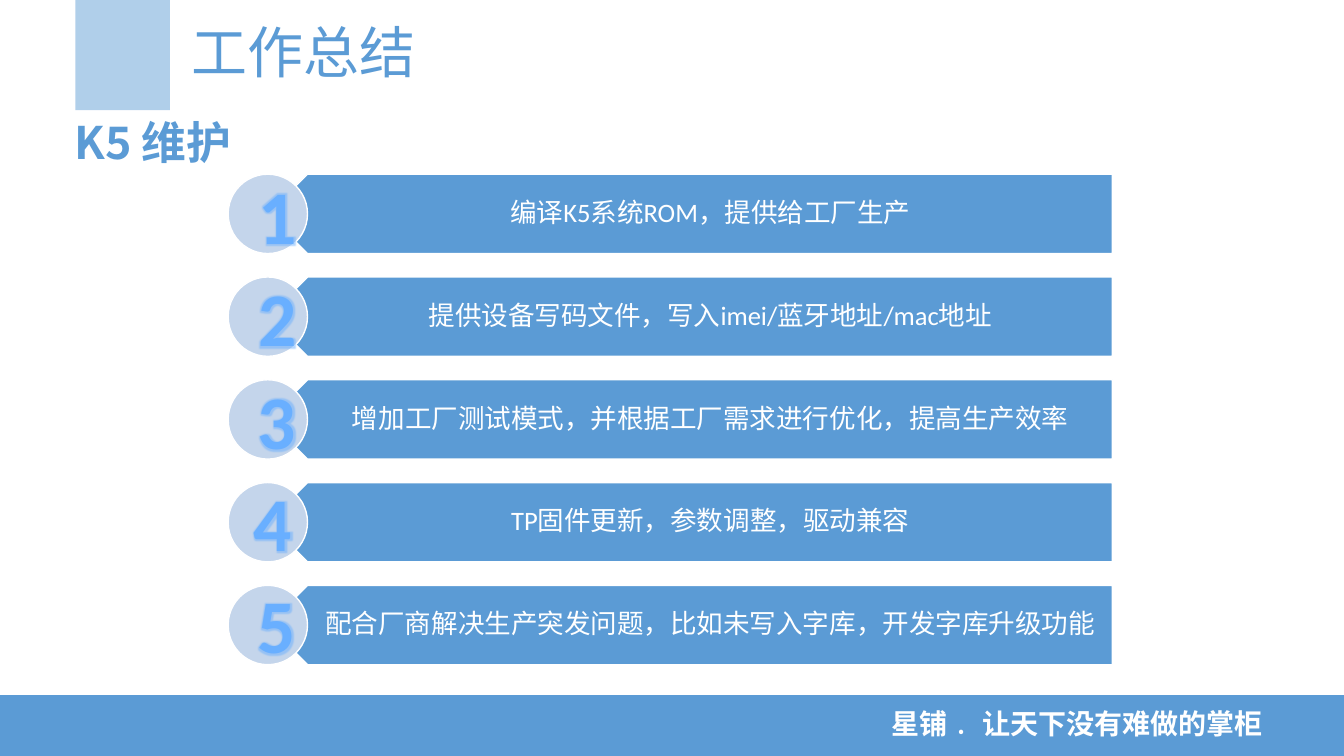
import pptx
import pptx.util
import pptx.dml.color
import pptx.enum.shapes
import pptx.enum.text
import pptx.oxml.ns
from lxml import etree
from pptx.util import Cm, Pt

THEME = {
    "blue": "5B9BD5", "pale": "C4D5EB", "digit": "69AFFF", "white": "FFFFFF",
    "cjk": "Noto Sans CJK SC", "latin": "Calibri",
    "title": 40, "subtitle": 32, "footer": 20, "item": 19, "number": 54,
}
KIND = pptx.enum.shapes.MSO_SHAPE
ALIGN = pptx.enum.text.PP_ALIGN
ANCHOR = pptx.enum.text.MSO_ANCHOR


def add_block(kind, left, top, width, height, color, outlined=False):
    block = slide.shapes.add_shape(kind, Cm(left), Cm(top), Cm(width), Cm(height))
    block.shadow.inherit = False
    block.fill.solid()
    block.fill.fore_color.rgb = pptx.dml.color.RGBColor.from_string(THEME[color])
    if outlined:
        block.line.color.rgb = pptx.dml.color.RGBColor.from_string(THEME["white"])
        block.line.width = Pt(1)
    else:
        block.line.fill.background()
    return block


def write(box, text, size, color, font, bold=False, align=ALIGN.LEFT, **frame_format):
    """Fill a box with one formatted line; frame_format holds text frame settings."""
    frame = box.text_frame
    settings = {"word_wrap": True, "vertical_anchor": ANCHOR.TOP, **frame_format}
    for name, value in settings.items():
        setattr(frame, name, value)
    paragraph = frame.paragraphs[0]
    paragraph.alignment = align
    run = paragraph.add_run()
    run.text = text
    for name, value in {"size": Pt(THEME[size]), "bold": bold, "name": THEME[font]}.items():
        setattr(run.font, name, value)
    run.font.color.rgb = pptx.dml.color.RGBColor.from_string(THEME[color])
    east_asian = etree.SubElement(run.font._element, pptx.oxml.ns.qn("a:ea"))
    east_asian.set("typeface", THEME["cjk"])
    return paragraph


deck = pptx.Presentation()
deck.slide_width, deck.slide_height = Cm(33.87), Cm(19.05)
slide = deck.slides.add_slide(deck.slide_layouts[5])

# Footer band and slogan
add_block(KIND.RECTANGLE, 0, 17.52, 33.87, 1.53, "blue")
slogan = slide.shapes.add_textbox(Cm(22.22), Cm(17.68), Cm(10.19), Cm(1.12))
write(slogan, "星铺﹒ 让天下没有难做的掌柜", "footer", "white", "cjk", bold=True, word_wrap=False)

# Heading
accent = add_block(KIND.RECTANGLE, 1.9, 0, 2.38, 2.78, "blue")
accent_color = accent.fill._xPr.find(".//" + pptx.oxml.ns.qn("a:srgbClr"))
etree.SubElement(accent_color, pptx.oxml.ns.qn("a:alpha")).set("val", "48000")

title = slide.shapes.title
title.left, title.top, title.width, title.height = Cm(4.57), Cm(0.32), Cm(6.22), Cm(1.96)
write(title, "工作总结", "title", "blue", "cjk", word_wrap=False,
      auto_size=pptx.enum.text.MSO_AUTO_SIZE.NONE)

subtitle = slide.shapes.add_textbox(Cm(1.63), Cm(2.77), Cm(29.41), Cm(1.63))
write(subtitle, "K5 维护", "subtitle", "blue", "cjk", bold=True)

# Numbered achievements: text and left edge of the number
achievements = [
    ("编译K5系统ROM，提供给工厂生产", 6.27),
    ("提供设备写码文件，写入imei/蓝牙地址/mac地址", 6.27),
    ("增加工厂测试模式，并根据工厂需求进行优化，提高生产效率", 6.25),
    ("TP固件更新，参数调整，驱动兼容", 6.15),
    ("配合厂商解决生产突发问题，比如未写入字库，开发字库升级功能", 6.25),
]
FIRST_TOP, PITCH, ROW_HEIGHT = 4.39, 2.59, 2.0

for row, (achievement, _) in enumerate(achievements):
    top = FIRST_TOP + row * PITCH
    banner = add_block(KIND.PENTAGON, 6.75, top, 21.28, ROW_HEIGHT, "blue", outlined=True)
    banner.rotation = 180
    label = slide.shapes.add_textbox(Cm(7.26), Cm(top), Cm(20.77), Cm(ROW_HEIGHT))
    line = write(label, achievement, "item", "white", "latin", align=ALIGN.CENTER,
                 vertical_anchor=ANCHOR.MIDDLE, margin_left=Cm(0.89), margin_right=Cm(0.38),
                 margin_top=Cm(0.2), margin_bottom=Cm(0.2))
    line.line_spacing = 0.9
    add_block(KIND.OVAL, 5.75, top, ROW_HEIGHT, ROW_HEIGHT, "pale", outlined=True)

for row, (_, left) in enumerate(achievements):
    number = slide.shapes.add_textbox(Cm(left), Cm(4.13 + row * 2.58), Cm(1.24), Cm(2.57))
    digit = write(number, str(row + 1), "number", "digit", "latin", bold=True, align=ALIGN.CENTER)
    # Soft glow; the schema places it right after the text fill
    effects = etree.Element(pptx.oxml.ns.qn("a:effectLst"))
    glow = etree.SubElement(effects, pptx.oxml.ns.qn("a:glow"), rad=str(Pt(3.5)))
    glow_color = etree.SubElement(glow, pptx.oxml.ns.qn("a:srgbClr"), val=THEME["digit"])
    etree.SubElement(glow_color, pptx.oxml.ns.qn("a:alpha")).set("val", "50000")
    digit.runs[0].font._element.find(pptx.oxml.ns.qn("a:solidFill")).addnext(effects)

deck.save("out.pptx")
